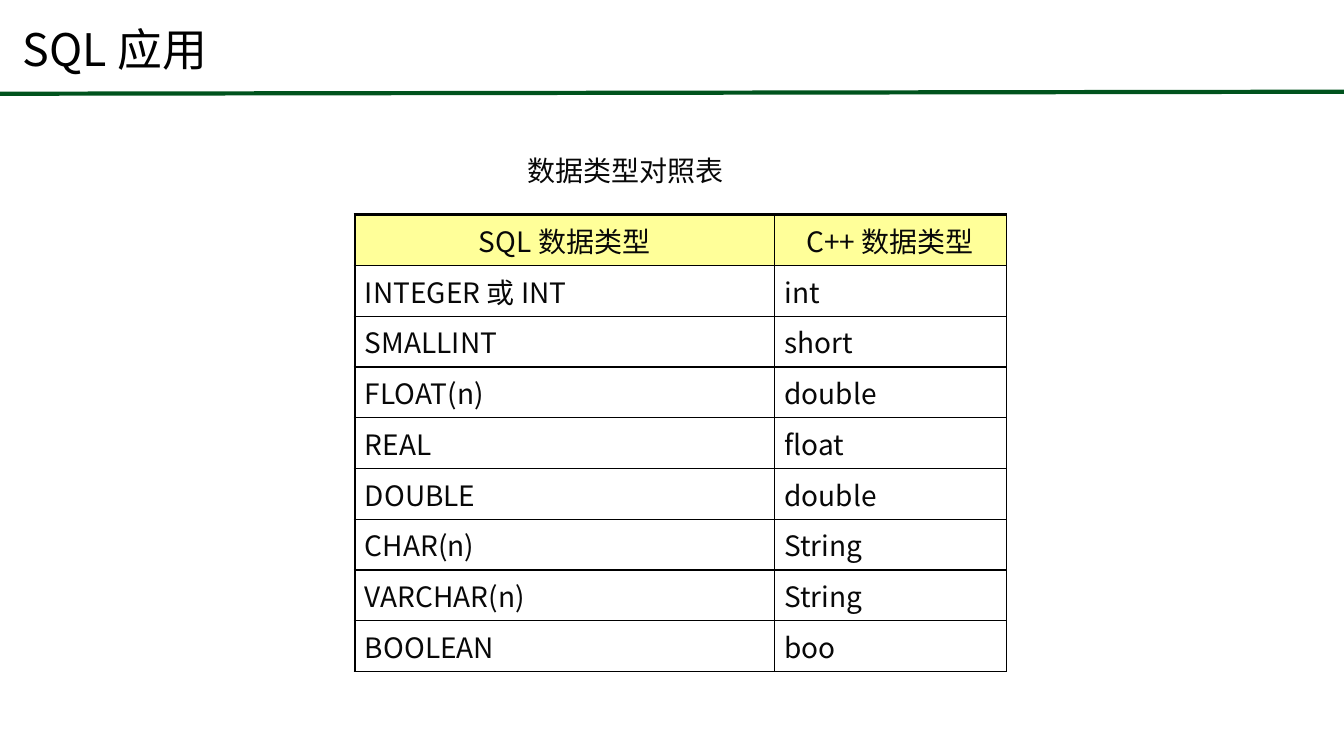
from lxml import etree
from pptx import Presentation
from pptx.dml.color import RGBColor
from pptx.enum.shapes import MSO_CONNECTOR
from pptx.enum.text import MSO_ANCHOR, MSO_AUTO_SIZE, PP_ALIGN
from pptx.oxml.ns import qn
from pptx.util import Inches, Pt

STRAIGHT = MSO_CONNECTOR.STRAIGHT
MIDDLE = MSO_ANCHOR.MIDDLE
NO_FIT, GROW = MSO_AUTO_SIZE.NONE, MSO_AUTO_SIZE.SHAPE_TO_FIT_TEXT
LEFT, CENTER = PP_ALIGN.LEFT, PP_ALIGN.CENTER
CJK = "Noto Sans CJK SC"


def add_text(p, text, size=20, font=CJK, color="080808", bold=False, align=LEFT):
    p.alignment = align
    r = p.add_run()
    r.text = text
    r.font.size = Pt(size)
    r.font.name = font
    r.font.bold = bold
    r.font.color.rgb = RGBColor.from_string(color)
    ea = etree.SubElement(r.font._element, qn("a:ea"))
    ea.set("typeface", font)


def set_borders(cell, widths):
    tcPr = cell._tc.get_or_add_tcPr()
    for i, (side, width) in enumerate(widths.items()):
        ln = etree.Element(qn(f"a:ln{side}"), w=str(Pt(width)))
        fill = etree.SubElement(ln, qn("a:solidFill"))
        etree.SubElement(fill, qn("a:srgbClr"), val="000000")
        tcPr.insert(i, ln)


prs = Presentation()
prs.slide_width, prs.slide_height = Inches(13.33), Inches(7.5)
s = prs.slides.add_slide(prs.slide_layouts[5])

rule = s.shapes.add_connector(STRAIGHT, 0, Inches(0.93), Inches(13.33), Inches(0.91))
rule.line.color.rgb = RGBColor.from_string("00531D")
rule.line.width = Pt(3)
etree.SubElement(rule._element.spPr, qn("a:effectLst"))

title = s.shapes.title
title.left, title.top = Inches(0.02), Inches(0.02)
title.width, title.height = Inches(11.3), Inches(1)
tf = title.text_frame
tf.auto_size = NO_FIT
tf.vertical_anchor = MIDDLE
p = tf.paragraphs[0]
p.line_spacing = 0.9
add_text(p, " ", size=28, font="Arial", color="000000", bold=True)
add_text(p, "SQL 应用", size=32, color="000000")

rows = [
    ("SQL 数据类型", "C++ 数据类型"),
    ("INTEGER 或 INT", "int"),
    ("SMALLINT", "short"),
    ("FLOAT(n)", "double"),
    ("REAL", "float"),
    ("DOUBLE", "double"),
    ("CHAR(n)", "String"),
    ("VARCHAR(n)", "String"),
    ("BOOLEAN", "boo"),
]
table = s.shapes.add_table(
    len(rows), 2, Inches(3.52), Inches(2.13), Inches(6.46), Inches(3.9)
).table
table.columns[0].width, table.columns[1].width = Inches(4.16), Inches(2.3)
for i, row in enumerate(rows):
    table.rows[i].height = Inches(0.43)
    for j, text in enumerate(row):
        cell = table.cell(i, j)
        if i == 0:
            cell.fill.solid()
            cell.fill.fore_color.rgb = RGBColor.from_string("FFFF99")
        else:
            cell.fill.background()
        set_borders(cell, {
            "L": 2.25 if j == 0 else 1,
            "R": 1,
            "T": 2.25 if i == 0 else 1,
            "B": 1,
        })
        add_text(cell.text_frame.paragraphs[0], text, align=LEFT if i else CENTER)

caption = s.shapes.add_textbox(Inches(5.13), Inches(1.47), Inches(2.17), Inches(0.44))
tf = caption.text_frame
tf.word_wrap = False
tf.auto_size = GROW
add_text(tf.paragraphs[0], "数据类型对照表")

prs.save("out.pptx")
